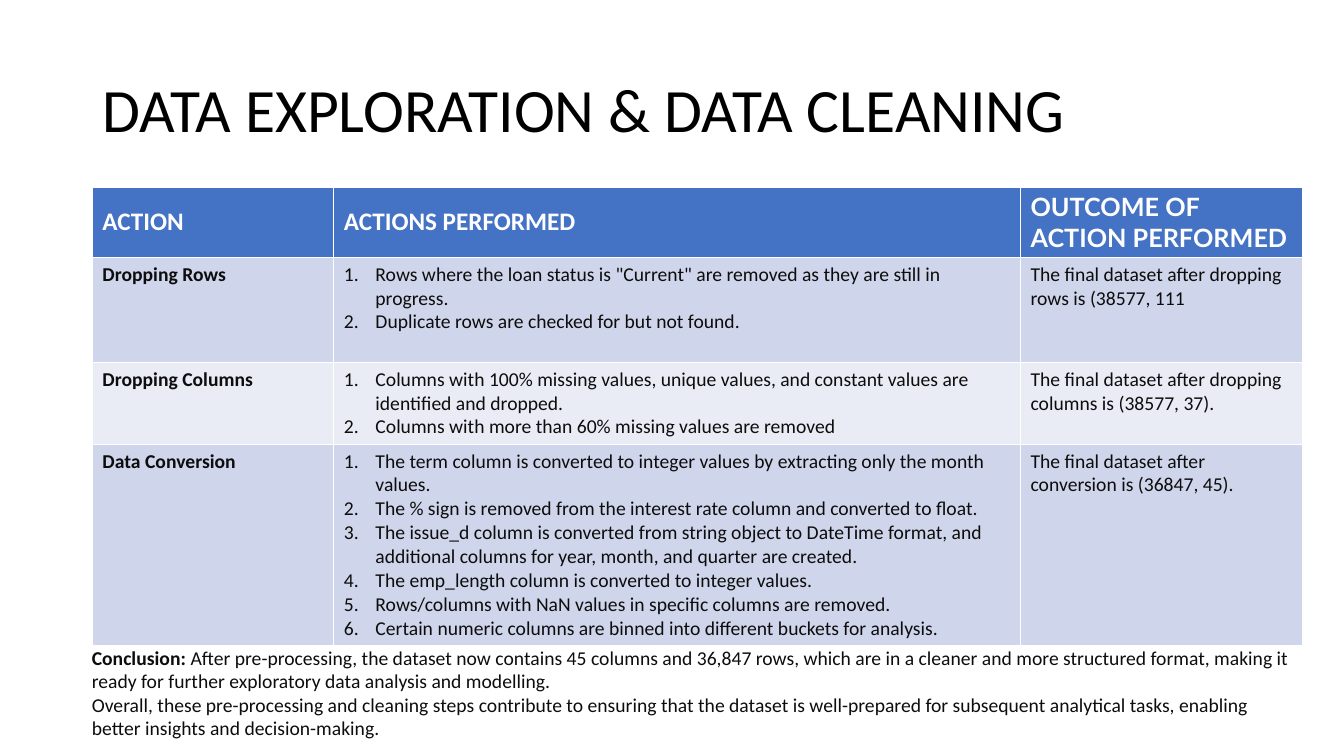
from lxml import etree
from pptx import Presentation
from pptx.dml.color import RGBColor
from pptx.enum.text import MSO_ANCHOR, MSO_AUTO_SIZE, PP_ALIGN
from pptx.oxml.ns import qn
from pptx.util import Pt

TITLE = "DATA EXPLORATION & DATA CLEANING"
HEADINGS = ["ACTION", "ACTIONS PERFORMED", "OUTCOME OF ACTION PERFORMED"]
STEPS = [
    ("Dropping Rows",
     ['Rows where the loan status is "Current" are removed as they are still in progress.',
      "Duplicate rows are checked for but not found."],
     "The final dataset after dropping rows is (38577, 111"),
    ("Dropping Columns",
     ["Columns with 100% missing values, unique values, and constant values are identified and dropped.",
      "Columns with more than 60% missing values are removed"],
     "The final dataset after dropping columns is (38577, 37)."),
    ("Data Conversion",
     ["The term column is converted to integer values by extracting only the month values.",
      "The % sign is removed from the interest rate column and converted to float.",
      "The issue_d column is converted from string object to DateTime format, and additional columns "
      "for year, month, and quarter are created.",
      "The emp_length column is converted to integer values.",
      "Rows/columns with NaN values in specific columns are removed.",
      "Certain numeric columns are binned into different buckets for analysis."],
     "The final dataset after conversion is (36847, 45)."),
]
CONCLUSION = [
    [("Conclusion: ", True),
     ("After pre-processing, the dataset now contains 45 columns and 36,847 rows, which are in a cleaner "
      "and more structured format, making it ready for further exploratory data analysis and modelling.", False)],
    [("Overall, these pre-processing and cleaning steps contribute to ensuring that the dataset is "
      "well-prepared for subsequent analytical tasks, enabling better insights and decision-making.", False)],
]

PX = 9525
SLIDE_WIDTH, SLIDE_HEIGHT = 1280, 720
TITLE_BOX = (88, 38, 1104, 139)
TABLE_LEFT, TABLE_TOP = 88, 178
COLUMN_WIDTHS = [230, 654, 269]
ROW_HEIGHTS = [67, 100, 78, 190]
CONCLUSION_BOX = (78, 610, 1172, 100)
NUMBER_INDENT = 30

BLACK = RGBColor(0x00, 0x00, 0x00)
WHITE = RGBColor(0xFF, 0xFF, 0xFF)
INK = RGBColor(0x0D, 0x0D, 0x0D)
HEADING_BLUE = RGBColor(0x44, 0x72, 0xC4)
BANDS = [RGBColor(0xCF, 0xD5, 0xEA), RGBColor(0xE9, 0xEB, 0xF5)]
MIDDLE, TOP = MSO_ANCHOR.MIDDLE, MSO_ANCHOR.TOP
LEFT, NO_FIT = PP_ALIGN.LEFT, MSO_AUTO_SIZE.NONE

TITLE_FONT = {"name": "Calibri", "size": Pt(44), "bold": False}
HEADING_FONT = {"name": "Calibri", "size": Pt(18), "bold": True}
OUTCOME_FONT = {**HEADING_FONT, "name": "Lato"}
BODY_FONT = {"name": "Calibri", "size": Pt(14), "bold": False}
BOLD_FONT = {**BODY_FONT, "bold": True}


def scaled(box):
    return [length * PX for length in box]


def apply(target, values):
    for name, value in values.items():
        setattr(target, name, value)


def add_text(paragraph, text, font, color):
    run = paragraph.add_run()
    run.text = text
    apply(run.font, font)
    run.font.color.rgb = color


def paragraphs_for(frame, items):
    for index, item in enumerate(items):
        yield (frame.add_paragraph() if index else frame.paragraphs[0]), item


def number(paragraph):
    properties = paragraph._p.get_or_add_pPr()
    properties.set("marL", str(NUMBER_INDENT * PX))
    properties.set("indent", str(-NUMBER_INDENT * PX))
    etree.SubElement(properties, qn("a:buFont"), typeface="+mj-lt")
    etree.SubElement(properties, qn("a:buAutoNum"), type="arabicPeriod")


def fill_cell(cell, lines, font, color, fill, anchor, numbered=False):
    cell.fill.solid()
    cell.fill.fore_color.rgb = fill
    cell.vertical_anchor = anchor
    for paragraph, line in paragraphs_for(cell.text_frame, lines):
        add_text(paragraph, line, font, color)
        if numbered:
            number(paragraph)


def add_title(slide):
    title = slide.shapes.title
    apply(title, dict(zip(("left", "top", "width", "height"), scaled(TITLE_BOX))))
    apply(title.text_frame, {"vertical_anchor": MIDDLE, "auto_size": NO_FIT, "word_wrap": True})
    heading = title.text_frame.paragraphs[0]
    apply(heading, {"alignment": LEFT, "line_spacing": 0.9})
    add_text(heading, TITLE, TITLE_FONT, BLACK)


def add_steps(slide):
    box = (TABLE_LEFT, TABLE_TOP, sum(COLUMN_WIDTHS), sum(ROW_HEIGHTS))
    table = slide.shapes.add_table(len(ROW_HEIGHTS), len(COLUMN_WIDTHS), *scaled(box)).table
    for column, width in zip(table.columns, COLUMN_WIDTHS):
        column.width = width * PX
    for row, height in zip(table.rows, ROW_HEIGHTS):
        row.height = height * PX
    heading_fonts = [HEADING_FONT, HEADING_FONT, OUTCOME_FONT]
    for index, (heading, font) in enumerate(zip(HEADINGS, heading_fonts)):
        fill_cell(table.cell(0, index), [heading], font, WHITE, HEADING_BLUE, MIDDLE)
    for index, (action, performed, outcome) in enumerate(STEPS):
        band = BANDS[index % len(BANDS)]
        cells = table.rows[index + 1].cells
        fill_cell(cells[0], [action], BOLD_FONT, INK, band, TOP)
        fill_cell(cells[1], performed, BODY_FONT, INK, band, TOP, numbered=True)
        fill_cell(cells[2], [outcome], BODY_FONT, INK, band, TOP)


def add_conclusion(slide):
    frame = slide.shapes.add_textbox(*scaled(CONCLUSION_BOX)).text_frame
    frame.word_wrap = True
    for paragraph, parts in paragraphs_for(frame, CONCLUSION):
        for text, bold in parts:
            add_text(paragraph, text, BOLD_FONT if bold else BODY_FONT, INK)


def main():
    deck = Presentation()
    apply(deck, {"slide_width": SLIDE_WIDTH * PX, "slide_height": SLIDE_HEIGHT * PX})
    slide = deck.slides.add_slide(deck.slide_layouts.get_by_name("Title Only"))
    add_title(slide)
    add_steps(slide)
    add_conclusion(slide)
    deck.save("out.pptx")


if __name__ == "__main__":
    main()
